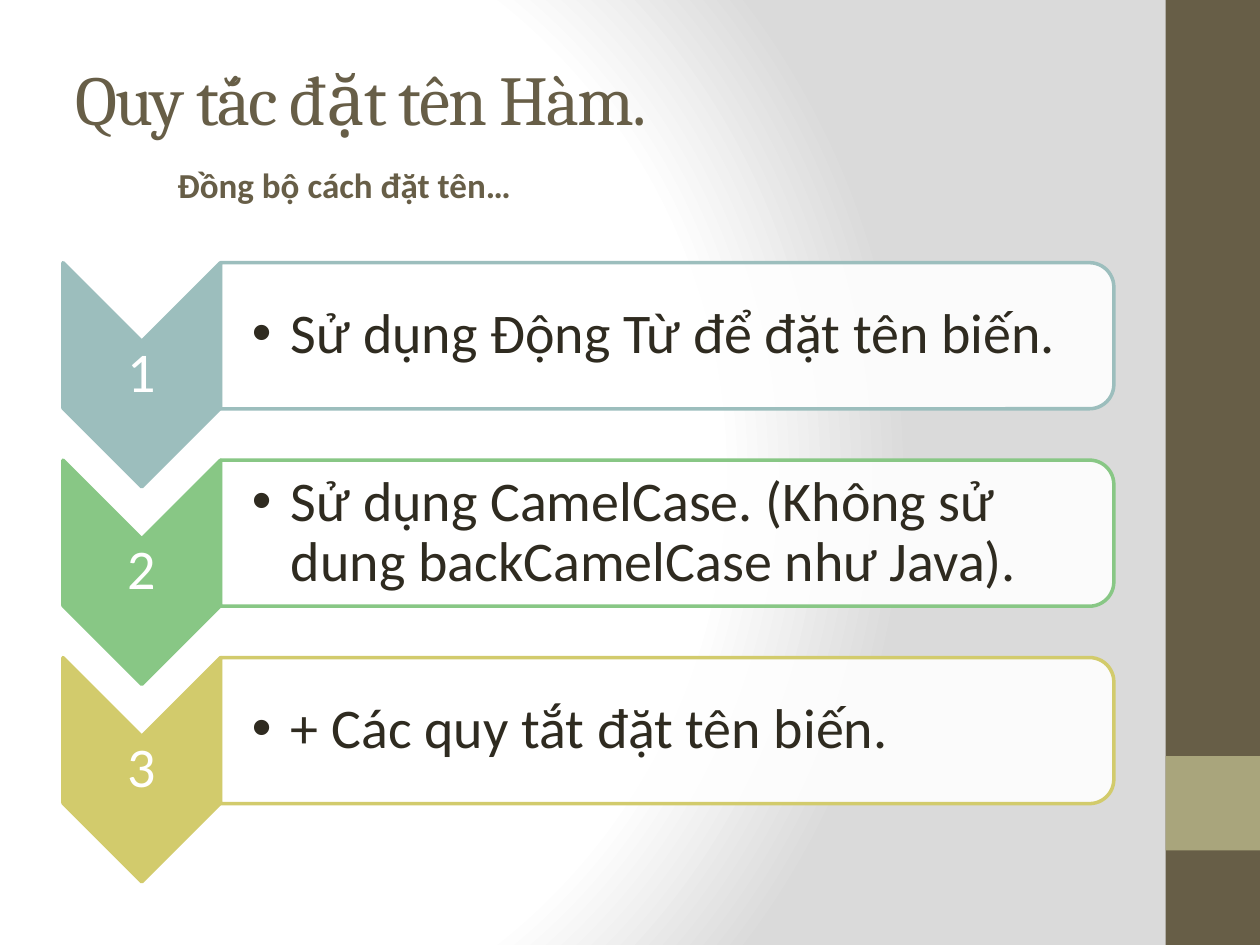
from dataclasses import dataclass
from typing import NamedTuple

from lxml import etree
from pptx import Presentation
from pptx import util as u
from pptx.dml.color import RGBColor
from pptx.enum import shapes, text
from pptx.oxml import parse_xml
from pptx.oxml.ns import nsdecls, qn

COLUMNS, ROWS = 100, 75
CELL = u.Inches(10) // COLUMNS
BROWN, KHAKI, INK, WHITE = "675E47", "A9A57C", "2F2B20", "FFFFFF"
LEFT, FIRST_ROW, ROW_PITCH = 5, 20.85, 15.67
CHEVRON_WIDTH, CHEVRON_HEIGHT = 12.5, 17.8
PANEL_WIDTH, PANEL_HEIGHT = 70.9, 11.6


class Area(NamedTuple):
    """A rectangle counted in grid cells."""
    column: float
    row: float
    width: float
    height: float

    def emu(self) -> list[int]:
        return [round(value * CELL) for value in self]

    def turned(self) -> "Area":
        """The area which covers this one after a quarter turn."""
        shift = (self.width - self.height) / 2
        return Area(self.column + shift, self.row - shift, self.height, self.width)


@dataclass
class Rule:
    number: str
    wording: str
    colour: str


RULES = [
    Rule("1", "Sử dụng Động Từ để đặt tên biến.", "9CBEBD"),
    Rule("2", "Sử dụng CamelCase. (Không sử dung backCamelCase như Java).", "88C785"),
    Rule("3", "+ Các quy tắt đặt tên biến.", "D2CB6C"),
]


def rgb(value: str) -> RGBColor:
    return RGBColor.from_string(value)


def paint_background(page) -> None:
    page.background.fill.solid()
    properties = page.background._cSld.bg.bgPr
    stops = "".join(
        f'<a:gs pos="{place * 1000}"><a:srgbClr val="{colour}"/></a:gs>'
        for place, colour in [(0, WHITE), (75, WHITE), (100, "DADADA")])
    gradient = parse_xml(
        f'<a:gradFill {nsdecls("a")} rotWithShape="1"><a:gsLst>{stops}</a:gsLst>'
        '<a:path path="circle"><a:fillToRect l="20000" t="50000" r="100000" b="50000"/>'
        '</a:path></a:gradFill>')
    properties.replace(properties.find(qn("a:solidFill")), gradient)


def add_block(page, kind, area: Area, fill: str, line: str = "",
              turned: bool = False, opacity: int = 100) -> None:
    block = page.shapes.add_shape(kind, *(area.turned() if turned else area).emu())
    block.rotation = 90 if turned else 0
    block.shadow.inherit = False
    block.fill.solid()
    block.fill.fore_color.rgb = rgb(fill)
    if opacity < 100:
        colour = block._element.spPr.find(qn("a:solidFill"))[0]
        etree.SubElement(colour, qn("a:alpha"), val=str(opacity * 1000))
    if line:
        block.line.color.rgb = rgb(line)
        block.line.width = u.Pt(2)
    else:
        block.line.fill.background()


def add_text(page, area: Area, wording: str, colour: str, font: dict,
             frame: dict | None = None, layout: dict | None = None,
             indent: tuple[float, float] = (0, 0), bullet: str = "", spacing: int = 0) -> None:
    """Indent is the left margin and first-line shift in inches; spacing is in points."""
    box = page.shapes.add_textbox(*area.emu()).text_frame
    box.word_wrap = True
    para = box.paragraphs[0]
    properties = para._p.get_or_add_pPr()
    properties.set("marL", str(u.Inches(indent[0])))
    properties.set("indent", str(u.Inches(indent[1])))
    if bullet:
        etree.SubElement(properties, qn("a:buFont"), typeface="Arial")
        etree.SubElement(properties, qn("a:buChar"), char=bullet)
    span = para.add_run()
    span.text = wording
    span.font.color.rgb = rgb(colour)
    if spacing:
        span._r.get_or_add_rPr().set("spc", str(spacing * 100))
    for target, values in ((box, frame), (para, layout), (span.font, font)):
        for name, value in (values or {}).items():
            setattr(target, name, value)


def add_rule(page, rule: Rule, row: float) -> None:
    chevron = Area(LEFT, row, CHEVRON_WIDTH, CHEVRON_HEIGHT)
    panel = Area(LEFT + CHEVRON_WIDTH, row, PANEL_WIDTH, PANEL_HEIGHT)
    font = {"name": "Calibri", "size": u.Pt(32)}
    margins = dict.fromkeys(
        ("margin_left", "margin_top", "margin_right", "margin_bottom"), u.Inches(0.02))
    frame = margins | {"vertical_anchor": text.MSO_ANCHOR.MIDDLE}
    add_block(page, shapes.MSO_SHAPE.CHEVRON, chevron, rule.colour, rule.colour, turned=True)
    add_text(page, Area(LEFT, row + CHEVRON_WIDTH / 2, CHEVRON_WIDTH, 5.3),
             rule.number, WHITE, font, margins,
             {"alignment": text.PP_ALIGN.CENTER, "line_spacing": 0.9})
    add_block(page, shapes.MSO_SHAPE.ROUND_2_SAME_RECTANGLE, panel, WHITE, rule.colour,
              turned=True, opacity=90)
    add_text(page, Area(panel.column, row + 0.6, 70.3, PANEL_HEIGHT - 1.2),
             rule.wording, INK, font, frame | {"margin_left": u.Inches(0.25)},
             {"line_spacing": 0.9}, indent=(0.31, -0.31), bullet="•")


def main() -> None:
    deck = Presentation()
    deck.slide_width, deck.slide_height = COLUMNS * CELL, ROWS * CELL
    page = deck.slides.add_slide(deck.slide_layouts[6])
    paint_background(page)
    add_block(page, shapes.MSO_SHAPE.RECTANGLE, Area(92.5, 0, 7.5, ROWS), BROWN)
    add_block(page, shapes.MSO_SHAPE.RECTANGLE, Area(92.5, 60, 7.5, 7.5), KHAKI)
    add_text(page, Area(LEFT, 3, 83.3, 9.5), "Quy tắc đặt tên Hàm.", BROWN,
             {"name": "Cambria", "size": u.Pt(40)},
             {"vertical_anchor": text.MSO_ANCHOR.MIDDLE}, spacing=-1)
    for index, rule in enumerate(RULES):
        add_rule(page, rule, FIRST_ROW + index * ROW_PITCH)
    add_text(page, Area(LEFT, 12.5, 83.3, 4.2), "Đồng bộ cách đặt tên…", BROWN,
             {"name": "Calibri", "size": u.Pt(20), "bold": True}, indent=(0.81, 0))
    deck.save("out.pptx")


if __name__ == "__main__":
    main()
